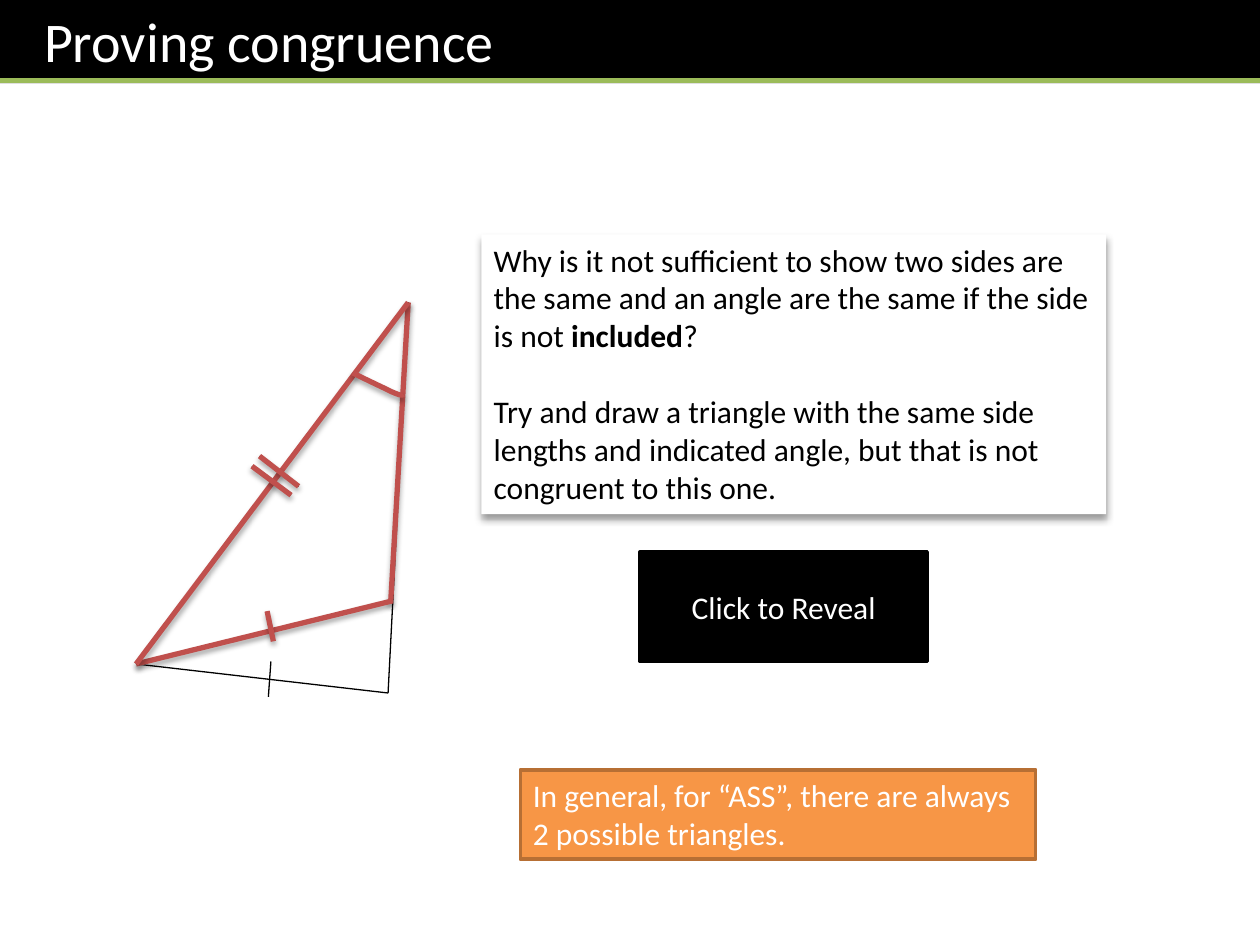
from lxml import etree
from pptx import Presentation
from pptx import util as u
from pptx.dml.color import RGBColor
from pptx.enum import shapes, text
from pptx.oxml.ns import qn

THEME = {
    "font": "Calibri", "title": 32, "body": 18, "line_height": 22,
    "black": "000000", "white": "FFFFFF", "green": "9BBB59",
    "red": "C0504D", "orange": "F79646", "brown": "B76F34",
}
LINE_SHADOW = {"opacity": 35, "blur": 3.1, "distance": 1.8}
BOX_SHADOW = {"opacity": 40, "blur": 4, "distance": 3}

TITLE = [[("Proving congruence", False)]]
QUESTION = [
    [("Why is it not sufficient to show two sides are the same and an angle "
      "are the same if the side is not ", False), ("included", True), ("?", False)],
    [("Try and draw a triangle with the same side lengths and indicated angle, "
      "but that is not congruent to this one.", False)],
]
REVEAL = [[("Click to Reveal", False)]]
CONCLUSION = [[("In general, for “ASS”, there are always 2 possible triangles.", False)]]

APEX, LEFT_CORNER = (3.24, 2.4), (1.08, 5.27)
DOUBLE_TICK = [((2.06, 3.62), (2.37, 3.86)), ((2, 3.7), (2.31, 3.93))]
ANGLE_ARC = [
    [(2.8, 2.96), (2.92, 3.02), (3.05, 3.08), (3.11, 3.11)],
    [(3.11, 3.11), (3.18, 3.14), (3.19, 3.14), (3.2, 3.13)],
]
TRIANGLES = {
    "first": {
        "side_end": (3.08, 5.5), "base_end": (3.08, 5.5),
        "tick": ((2.15, 5.25), (2.13, 5.53)),
        "color": "black", "width": 0.75, "shadow": None,
    },
    "second": {
        "side_end": (3.1, 4.79), "base_end": (3.11, 4.77),
        "tick": ((2.12, 4.85), (2.17, 5.09)),
        "color": "red", "width": 3, "shadow": LINE_SHADOW,
    },
}


def rgb(name):
    return RGBColor.from_string(THEME[name])


def set_shadow(item, shadow):
    """Give a downward shadow, or an empty effect list for none."""
    effects = etree.SubElement(item._element.spPr, qn("a:effectLst"))
    if shadow:
        outer = etree.SubElement(
            effects, qn("a:outerShdw"), blurRad=str(u.Pt(shadow["blur"])),
            dist=str(u.Pt(shadow["distance"])), dir="5400000", rotWithShape="0")
        color = etree.SubElement(outer, qn("a:srgbClr"), val=THEME["black"])
        etree.SubElement(color, qn("a:alpha"), val=str(shadow["opacity"] * 1000))


def style_line(item, color, width, shadow=None):
    item.line.color.rgb = rgb(color)
    item.line.width = u.Pt(width)
    set_shadow(item, shadow)


def add_line(parent, start, end, color, width, shadow=None):
    ends = [u.Inches(value) for value in (*start, *end)]
    style_line(parent.add_connector(shapes.MSO_CONNECTOR.STRAIGHT, *ends),
               color, width, shadow)


def add_text_box(parent, paragraphs, box, *, fill, size="body", color="white",
                 outline=None, shadow=None, centred=False, left_inset=0.1):
    panel = parent.add_shape(shapes.MSO_SHAPE.RECTANGLE, *map(u.Inches, box))
    panel.fill.solid()
    panel.fill.fore_color.rgb = rgb(fill)
    if outline:
        style_line(panel, outline, 2, shadow)
    else:
        panel.line.fill.background()
        set_shadow(panel, shadow)
    frame = panel.text_frame
    frame.word_wrap = True
    frame.margin_left = u.Inches(left_inset)
    frame.vertical_anchor = text.MSO_ANCHOR.MIDDLE if centred else text.MSO_ANCHOR.TOP
    for index, runs in enumerate(paragraphs):
        paragraph = frame.add_paragraph() if index else frame.paragraphs[0]
        paragraph.alignment = text.PP_ALIGN.CENTER if centred else text.PP_ALIGN.LEFT
        if index:
            paragraph.space_before = u.Pt(THEME["line_height"])
        for words, bold in runs:
            run = paragraph.add_run()
            run.text = words
            run.font.name = THEME["font"]
            run.font.size = u.Pt(THEME[size])
            run.font.bold = bold
            run.font.color.rgb = rgb(color)


def curve_points(controls, steps=8):
    """Sample a cubic Bezier curve in EMU, its start left out."""
    for step in range(1, steps + 1):
        t = step / steps
        weights = ((1 - t) ** 3, 3 * t * (1 - t) ** 2, 3 * t * t * (1 - t), t ** 3)
        yield tuple(u.Inches(sum(w * p[axis] for w, p in zip(weights, controls)))
                    for axis in (0, 1))


def add_angle_arc(parent, color, width, shadow):
    builder = parent.build_freeform(*map(u.Inches, ANGLE_ARC[0][0]))
    points = [point for part in ANGLE_ARC for point in curve_points(part)]
    builder.add_line_segments(points, close=False)
    arc = builder.convert_to_shape()
    arc.fill.background()
    style_line(arc, color, width, shadow)


def add_triangle(slide, triangle):
    group = slide.shapes.add_group_shape().shapes
    pen = {key: triangle[key] for key in ("color", "width", "shadow")}
    sides = [(APEX, triangle["side_end"]), (LEFT_CORNER, triangle["base_end"]),
             (LEFT_CORNER, APEX)]
    for start, end in sides:
        add_line(group, start, end, **pen)
    add_angle_arc(group, **pen)
    for start, end in [triangle["tick"], *DOUBLE_TICK]:
        add_line(group, start, end, **pen)


def main():
    deck = Presentation()
    deck.slide_width, deck.slide_height = u.Inches(10), u.Inches(7.5)
    slide = deck.slides.add_slide(deck.slide_layouts[6])

    header = slide.shapes.add_group_shape().shapes
    add_text_box(header, TITLE, (0, 0, 10, 0.66), fill="black", size="title",
                 left_inset=0.35)
    add_line(header, (0, 0.64), (10, 0.64), "green", 3)

    add_triangle(slide, TRIANGLES["first"])
    add_text_box(slide.shapes, QUESTION, (3.82, 1.86, 4.96, 2.22), fill="white",
                 color="black", shadow=BOX_SHADOW)
    add_triangle(slide, TRIANGLES["second"])
    add_text_box(slide.shapes, REVEAL, (5.08, 4.38, 2.28, 0.87), fill="black",
                 outline="black", centred=True)
    add_text_box(slide.shapes, CONCLUSION, (4.13, 6.11, 4.09, 0.71), fill="orange",
                 outline="brown")
    deck.save("out.pptx")


if __name__ == "__main__":
    main()
